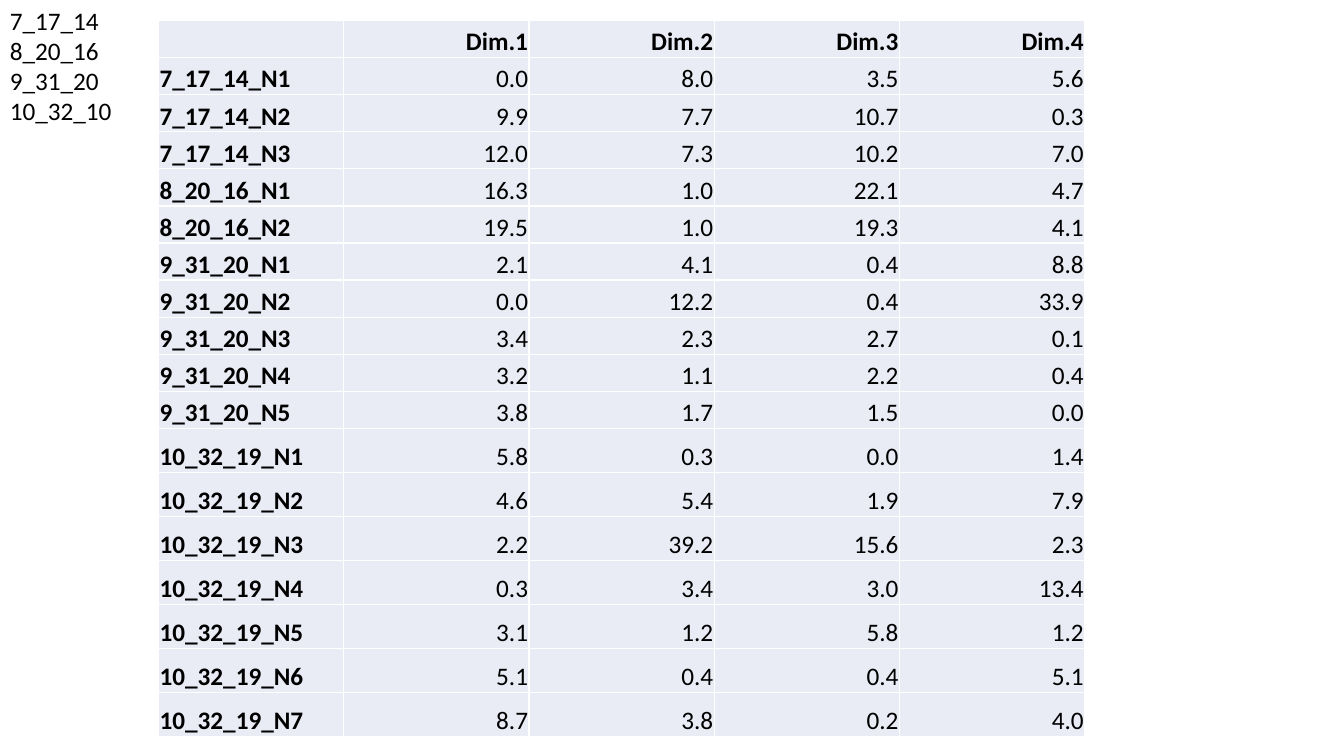
from lxml.etree import SubElement
from pptx import Presentation
from pptx.dml.color import RGBColor
from pptx.enum.text import MSO_ANCHOR, PP_ALIGN
from pptx.oxml.ns import qn
from pptx.util import Pt

BLACK = RGBColor(0x00, 0x00, 0x00)
WHITE = RGBColor(0xFF, 0xFF, 0xFF)
PALE_BLUE = RGBColor(0xE9, 0xEB, 0xF5)

GROUPS = ["7_17_14", "8_20_16", "9_31_20", "10_32_10"]
HEADER = ["", "Dim.1", "Dim.2", "Dim.3", "Dim.4"]
CONTRIBUTIONS = [
    ["7_17_14_N1", 0.0, 8.0, 3.5, 5.6],
    ["7_17_14_N2", 9.9, 7.7, 10.7, 0.3],
    ["7_17_14_N3", 12.0, 7.3, 10.2, 7.0],
    ["8_20_16_N1", 16.3, 1.0, 22.1, 4.7],
    ["8_20_16_N2", 19.5, 1.0, 19.3, 4.1],
    ["9_31_20_N1", 2.1, 4.1, 0.4, 8.8],
    ["9_31_20_N2", 0.0, 12.2, 0.4, 33.9],
    ["9_31_20_N3", 3.4, 2.3, 2.7, 0.1],
    ["9_31_20_N4", 3.2, 1.1, 2.2, 0.4],
    ["9_31_20_N5", 3.8, 1.7, 1.5, 0.0],
    ["10_32_19_N1", 5.8, 0.3, 0.0, 1.4],
    ["10_32_19_N2", 4.6, 5.4, 1.9, 7.9],
    ["10_32_19_N3", 2.2, 39.2, 15.6, 2.3],
    ["10_32_19_N4", 0.3, 3.4, 3.0, 13.4],
    ["10_32_19_N5", 3.1, 1.2, 5.8, 1.2],
    ["10_32_19_N6", 5.1, 0.4, 0.4, 5.1],
    ["10_32_19_N7", 8.7, 3.8, 0.2, 4.0],
]
ROW_HEIGHTS = [26.5] * 11 + [31.45] * 7


class SlideBuilder:
    font = "Calibri"
    size = 18

    def __init__(self, slide):
        self.slide = slide

    def style(self, p, bold=False, align=PP_ALIGN.LEFT):
        p.alignment = align
        p.font.name = self.font
        p.font.size = Pt(self.size)
        p.font.bold = bold
        p.font.color.rgb = BLACK

    def text(self, left, top, width, height, lines):
        sp = self.slide.shapes.add_textbox(Pt(left), Pt(top), Pt(width), Pt(height))
        tf = sp.text_frame
        tf.word_wrap = False
        tf.text = "\n".join(lines)
        for p in tf.paragraphs:
            self.style(p)

    def borders(self, cell):
        tc_pr = cell._tc.get_or_add_tcPr()
        for i, side in enumerate(("lnL", "lnR", "lnT", "lnB")):
            ln = SubElement(tc_pr, qn(f"a:{side}"), w=str(Pt(1)))
            fill = SubElement(ln, qn("a:solidFill"))
            SubElement(fill, qn("a:srgbClr"), val=str(WHITE))
            tc_pr.insert(i, ln)

    def cell(self, cell, value, bold, align):
        cell.margin_left = cell.margin_right = cell.margin_top = Pt(0.75)
        cell.margin_bottom = 0
        cell.vertical_anchor = MSO_ANCHOR.BOTTOM
        cell.fill.solid()
        cell.fill.fore_color.rgb = PALE_BLUE
        self.borders(cell)
        cell.text = value if isinstance(value, str) else f"{value:.1f}"
        self.style(cell.text_frame.paragraphs[0], bold, align)

    def table(self, left, top, col_width, row_heights, rows):
        n_cols = len(rows[0])
        frame = self.slide.shapes.add_table(
            len(rows), n_cols, Pt(left), Pt(top),
            Pt(col_width * n_cols), Pt(sum(row_heights)))
        table = frame.table
        table.first_row = table.horz_banding = False
        for column in table.columns:
            column.width = Pt(col_width)
        for r, (height, values) in enumerate(zip(row_heights, rows)):
            table.rows[r].height = Pt(height)
            for c, value in enumerate(values):
                align = PP_ALIGN.RIGHT if c else PP_ALIGN.LEFT
                self.cell(table.cell(r, c), value, r == 0 or c == 0, align)


def main():
    prs = Presentation()
    prs.slide_width, prs.slide_height = Pt(960), Pt(540)
    s = SlideBuilder(prs.slides.add_slide(prs.slide_layouts[6]))
    s.table(113.3, 14.7, 132.3, ROW_HEIGHTS, [HEADER] + CONTRIBUTIONS)
    s.text(0, 0, 88, 94.5, GROUPS)
    prs.save("out.pptx")


if __name__ == "__main__":
    main()
